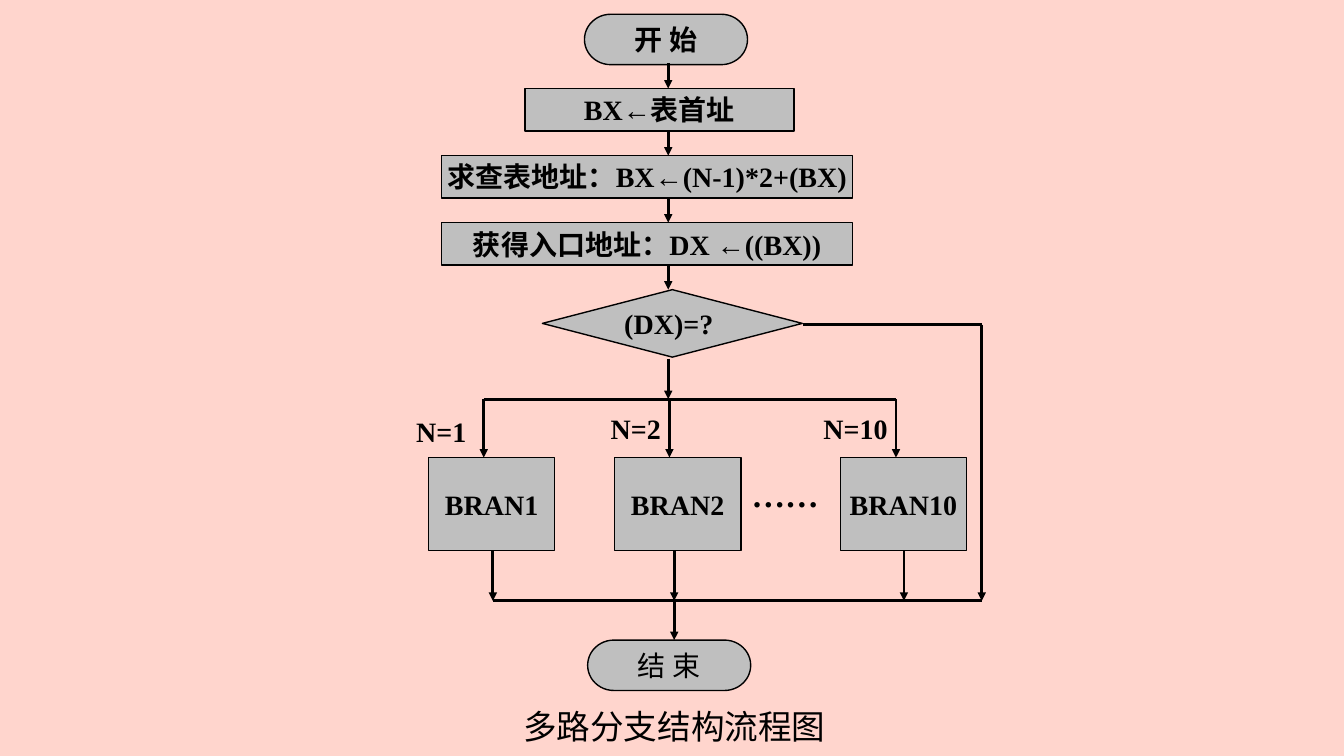
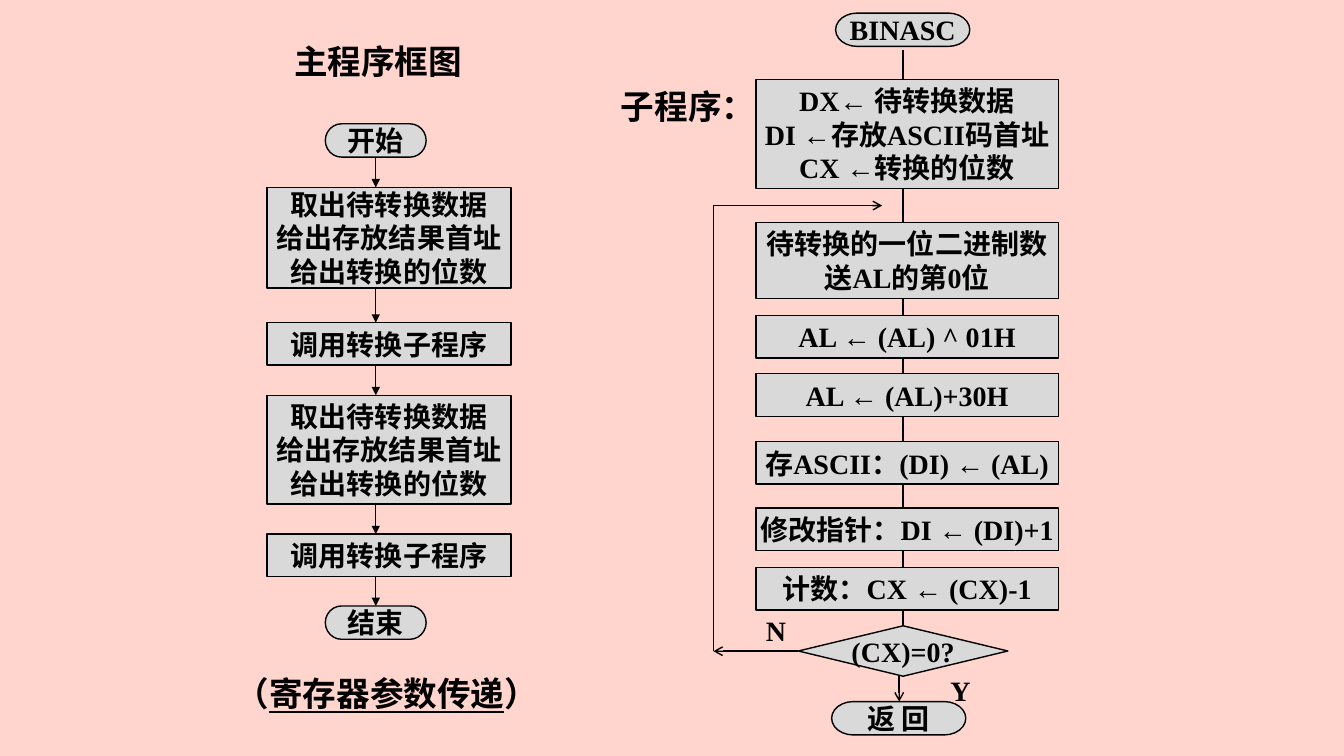
from itertools import pairwise

from lxml import etree
from pptx import Presentation
from pptx.dml.color import RGBColor
from pptx.enum.lang import MSO_LANGUAGE_ID as Language
from pptx.enum.shapes import MSO_CONNECTOR as Connector, MSO_SHAPE as Preset
from pptx.enum.text import MSO_ANCHOR as Anchor, MSO_AUTO_SIZE as AutoSize, PP_ALIGN as Align
from pptx.oxml.ns import qn
from pptx.util import Cm, Pt

COLOURS = {"background": "FFD5CD", "ink": "000000", "grey": "BFBFBF", "light": "D9D9D9"}
BODY = {"name": "Times New Roman", "size": Pt(20), "bold": True,
        "language_id": Language.SIMPLIFIED_CHINESE}
LARGE = {**BODY, "size": Pt(24)}
STEP_HEIGHT = 1.07


def colour(name):
    return RGBColor.from_string(COLOURS[name])


def write(text_frame, lines, font_format, align=Align.LEFT, anchor=Anchor.TOP, wrap=True):
    """Each line is a string or a list of (text, extra format) runs."""
    frame_format = {"word_wrap": wrap, "vertical_anchor": anchor, "auto_size": AutoSize.NONE}
    for key, value in frame_format.items():
        setattr(text_frame, key, value)
    for index, line in enumerate(lines):
        paragraph = text_frame.add_paragraph() if index else text_frame.paragraphs[0]
        paragraph.alignment = align
        for text, extra in [(line, {})] if isinstance(line, str) else line:
            run = paragraph.add_run()
            run.text = text
            for key, value in {**font_format, **extra}.items():
                setattr(run.font, key, value)
            run.font.color.rgb = colour("ink")


class Region:
    """Part of a slide; positions are centimetres from its top left corner."""

    def __init__(self, slide, left, top, fill, line_width):
        self.shapes = slide.shapes
        self.left, self.top = left, top
        self.fill, self.line_width = fill, line_width

    def point(self, x, y):
        return Cm(self.left + x), Cm(self.top + y)

    def node(self, preset, x, y, width, height, *lines, **extra):
        shape = self.shapes.add_shape(preset, *self.point(x, y), Cm(width), Cm(height))
        shape.shadow.inherit = False
        shape.fill.solid()
        shape.fill.fore_color.rgb = colour(self.fill)
        shape.line.color.rgb = colour("ink")
        shape.line.width = Pt(1)
        write(shape.text_frame, lines, {**BODY, **extra}, Align.CENTER, Anchor.MIDDLE, wrap=False)

    def label(self, x, y, width, line, font_format=BODY, height=1.09, wrap=True):
        box = self.shapes.add_textbox(*self.point(x, y), Cm(width), Cm(height))
        write(box.text_frame, [line], font_format, wrap=wrap)

    def line(self, start, end, head=None):
        connector = self.shapes.add_connector(
            Connector.STRAIGHT, *self.point(*start), *self.point(*end))
        connector.line.color.rgb = colour("ink")
        connector.line.width = Pt(self.line_width)
        properties = connector._element.spPr
        if head:
            etree.SubElement(properties.find(qn("a:ln")), qn("a:tailEnd"), type=head)
        etree.SubElement(properties, qn("a:effectLst"))

    def arrow(self, start, end):
        self.line(start, end, "triangle")


def add_titled_slide(presentation, title, left, top, width, bold):
    slide = presentation.slides.add_slide(presentation.slide_layouts[5])
    placeholder = slide.shapes.title
    box = {"left": left, "top": top, "width": width, "height": 1.27}
    for key, value in box.items():
        setattr(placeholder, key, Cm(value))
    write(placeholder.text_frame, [title], {**LARGE, "bold": bold})
    return slide


def draw_branch_chart(slide, left, top):
    region = Region(slide, left, top, "grey", 2)
    axis, first, pitch = 6.84, 1.87, 1.69
    split_y, branch_y, branch_height, merge_y = 9.7, 11.17, 2.34, 14.78
    bypass_x, bypass_y = 14.74, 7.82

    # Start, steps and decision
    region.node(Preset.FLOWCHART_TERMINATOR, 4.73, 0, 4.11, 1.27, "开 始")
    steps = [
        (Preset.FLOWCHART_PROCESS, 3.23, 6.78, STEP_HEIGHT, "BX←表首址"),
        (Preset.FLOWCHART_PROCESS, 1.13, 10.36, STEP_HEIGHT, "求查表地址：BX←(N-1)*2+(BX)"),
        (Preset.FLOWCHART_PROCESS, 1.13, 10.36, STEP_HEIGHT, "获得入口地址：DX ←((BX))"),
        (Preset.FLOWCHART_DECISION, 3.67, 6.55, 1.7, "(DX)=? "),
    ]
    for index, (preset, x, width, height, text) in enumerate(steps):
        y = first + index * pitch
        region.node(preset, x, y, width, height, text)
        region.arrow((axis, y - 0.64), (axis, y))
    region.arrow((axis, 8.68), (axis, split_y))

    # Branches: condition and its place, box left, arrow in, arrow out
    branches = [
        ("N=1", 0.24, 9.95, "BRAN1", 0.8, 2.19, 2.42),
        ("N=2", 5.14, 9.88, "BRAN2", 5.49, 6.87, 6.99),
        ("N=10", 10.5, 9.88, "BRAN10", 11.18, 12.58, 12.78),
    ]
    for condition, label_x, label_y, name, x, entry, leave in branches:
        region.node(Preset.FLOWCHART_PROCESS, x, branch_y, 3.18, branch_height, name)
        region.label(label_x, label_y, 2.67, condition)
        region.arrow((entry, split_y), (entry, branch_y))
        region.arrow((leave, branch_y + branch_height), (leave, merge_y))
    region.label(8.69, 11.45, 2.74, "……", LARGE, 1.27)
    region.line((2.19, split_y), (12.58, split_y))
    region.line((2.42, merge_y), (bypass_x, merge_y))

    # Bypass and end
    region.line((10.24, bypass_y), (bypass_x, bypass_y))
    region.arrow((bypass_x, bypass_y), (bypass_x, merge_y))
    region.arrow((6.99, merge_y), (6.99, 15.77))
    region.node(Preset.FLOWCHART_TERMINATOR, 4.81, 15.77, 4.11, 1.27, "结 束", bold=False)


def draw_main_program(slide, left, top):
    region = Region(slide, left, top, "light", 1)
    axis = 2.74
    prepare = ("取出待转换数据", "给出存放结果首址", "给出转换的位数")
    call = ("调用转换子程序",)
    terminal, step = (Preset.FLOWCHART_TERMINATOR, 1.47, 2.54), (Preset.RECTANGLE, 0, 6.15)
    nodes = [
        (terminal, 0, 0.84, ("开始",)),
        (step, 1.6, 2.54, prepare),
        (step, 5.01, STEP_HEIGHT, call),
        (step, 6.84, 2.74, prepare),
        (step, 10.34, STEP_HEIGHT, call),
        (terminal, 12.15, 0.84, ("结束",)),
    ]
    for (preset, x, width), y, height, lines in nodes:
        region.node(preset, x, y, width, height, *lines)
    for (_, y, height, _), (_, next_y, _, _) in pairwise(nodes):
        region.arrow((axis, y + height), (axis, next_y))

    # Caption
    caption = [("（", {}), ("寄存器参数传递", {"underline": True}), ("）", {})]
    region.label(-1.04, 13.72, 8.2, caption, LARGE, 1.27, wrap=False)


def draw_subroutine(slide, left, top):
    region = Region(slide, left, top, "light", 1)
    axis, decision_y = 7.36, 15.44

    # Spine behind the steps
    region.line((axis, 0.94), (axis, decision_y))
    region.label(0, 1.7, 3.94, "子程序：", {**LARGE, "name": "Calibri"}, 1.27, wrap=False)
    region.node(Preset.FLOWCHART_TERMINATOR, 5.66, 0, 3.38, 0.84, "BINASC")
    steps = [
        (1.68, 2.74, "DX← 待转换数据", "DI ←存放ASCII码首址", "CX ←转换的位数"),
        (5.28, 1.91, "待转换的一位二进制数", "送AL的第0位"),
        (7.62, STEP_HEIGHT, "AL ← (AL) ^ 01H"),
        (9.09, STEP_HEIGHT, "AL ← (AL)+30H"),
        (10.8, STEP_HEIGHT, "存ASCII：(DI) ← (AL)"),
        (12.47, STEP_HEIGHT, "修改指针：DI ← (DI)+1"),
        (13.97, STEP_HEIGHT, "计数：CX ← (CX)-1"),
    ]
    for y, height, *lines in steps:
        region.node(Preset.RECTANGLE, 3.65, y, 7.62, height, *lines)

    # Decision, loop and return
    region.node(Preset.FLOWCHART_DECISION, 4.72, decision_y, 5.28, 1.27, "(CX)=0?")
    region.node(Preset.FLOWCHART_TERMINATOR, 5.56, 17.35, 3.38, 0.84, "返 回")
    region.line((7.26, 16.71), (7.26, 17.35), "arrow")
    loop = [(4.72, 16.08), (2.58, 16.08), (2.58, 4.85), (6.83, 4.85)]
    for (start, end), head in zip(pairwise(loop), ("arrow", None, "arrow")):
        region.line(start, end, head)
    region.label(3.65, 15.01, 1.7, "N")
    region.label(8.3, 16.51, 1.07, "Y")


def main():
    presentation = Presentation()
    presentation.slide_width, presentation.slide_height = Cm(33.87), Cm(19.05)
    background = presentation.slide_master.background.fill
    background.solid()
    background.fore_color.rgb = colour("background")

    slide = add_titled_slide(presentation, "多路分支结构流程图", 12.93, 17.65, 8.89, bold=False)
    draw_branch_chart(slide, 10, 0.36)

    slide = add_titled_slide(presentation, "主程序框图", 7.16, 0.91, 5.28, bold=True)
    draw_main_program(slide, 6.73, 3.12)
    draw_subroutine(slide, 15.4, 0.33)

    presentation.save("out.pptx")


if __name__ == "__main__":
    main()
